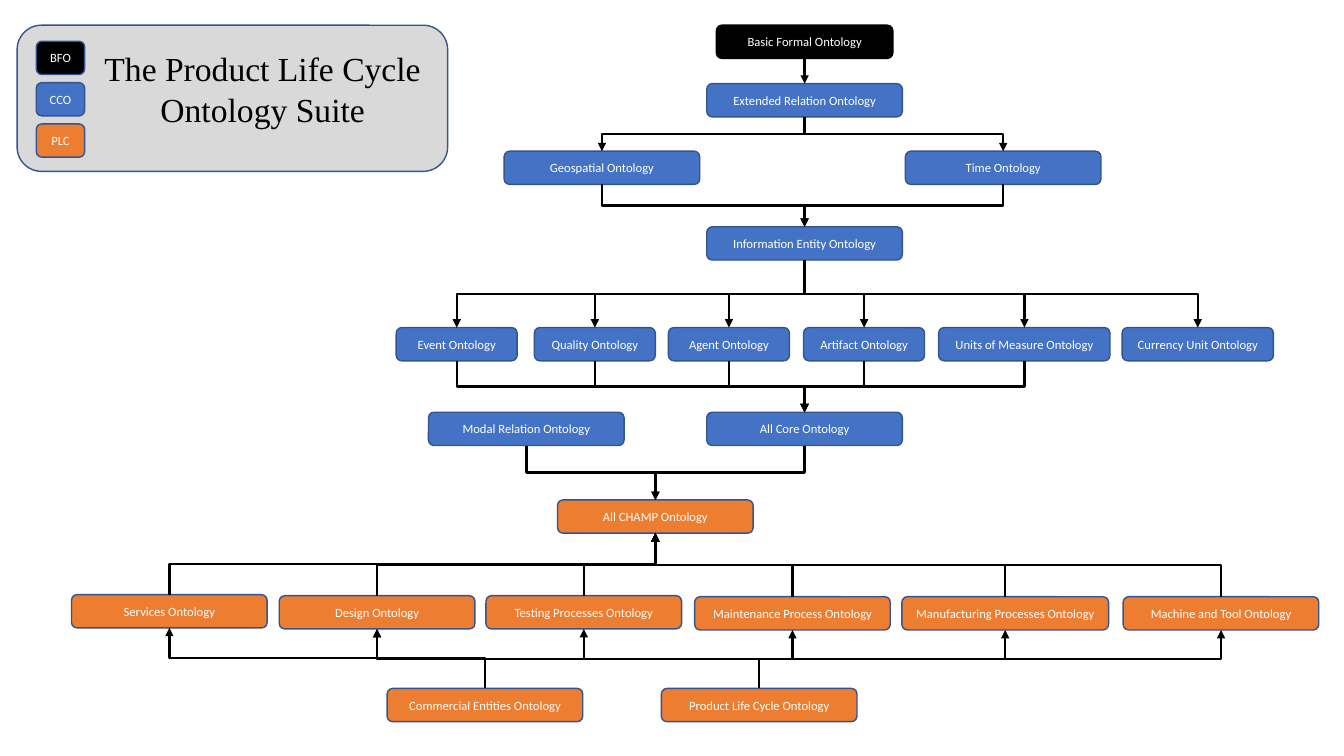
import pptx
import pptx.dml.color
import pptx.enum.shapes
import pptx.enum.text
import pptx.oxml
import pptx.oxml.ns
import pptx.util
from pptx.util import Inches

BLACK, BLUE, ORANGE = "000000", "4472C4", "ED7D31"
OUTLINE, PANEL, WHITE = "325491", "D9D9D9", "FFFFFF"
BOX_HEIGHT = 0.33
BOX_WIDTH = 1.94


def colour(value):
    return pptx.dml.color.RGBColor.from_string(value)


class OntologySlide:
    def __init__(self, slide):
        self.shapes = slide.shapes
        self.boxes = {}

    def format_text(self, frame, text, font, size, hue):
        frame.text = text
        frame.word_wrap = True
        paragraph = frame.paragraphs[0]
        paragraph.alignment = pptx.enum.text.PP_ALIGN.CENTER
        run_font = paragraph.runs[0].font
        run_font.name = font
        run_font.size = pptx.util.Pt(size)
        run_font.color.rgb = colour(hue)

    def panel(self, left, top, width, height, fill, outline=OUTLINE):
        panel = self.shapes.add_shape(
            pptx.enum.shapes.MSO_SHAPE.ROUNDED_RECTANGLE,
            Inches(left), Inches(top), Inches(width), Inches(height))
        panel.shadow.inherit = False
        panel.fill.solid()
        panel.fill.fore_color.rgb = colour(fill)
        panel.line.color.rgb = colour(outline)
        panel.line.width = pptx.util.Pt(1)
        return panel

    def box(self, label, centre, top, fill, width=BOX_WIDTH, outline=OUTLINE):
        box = self.panel(centre - width / 2, top, width, BOX_HEIGHT, fill, outline)
        box.text_frame.vertical_anchor = pptx.enum.text.MSO_ANCHOR.MIDDLE
        self.format_text(box.text_frame, label, "Calibri", 9, WHITE)
        self.boxes[label] = (centre, top)

    def title(self, text, left, top, width, height):
        title = self.shapes.add_textbox(
            Inches(left), Inches(top), Inches(width), Inches(height))
        self.format_text(title.text_frame, text, "Times New Roman", 24, BLACK)

    def arrow(self, source, target):
        x1, y1 = self.boxes[source]
        x2, y2 = self.boxes[target]
        upward, rightward = y2 < y1, x2 > x1
        if upward:
            y2 += BOX_HEIGHT
        else:
            y1 += BOX_HEIGHT
        kinds = pptx.enum.shapes.MSO_CONNECTOR
        if x1 == x2:
            arrow = self.shapes.add_connector(
                kinds.STRAIGHT, Inches(x1), Inches(y1), Inches(x2), Inches(y2))
        else:
            middle_x, middle_y = (x1 + x2) / 2, (y1 + y2) / 2
            half_run = abs(y2 - y1) / 2 * (1 if rightward else -1)
            half_rise = abs(x2 - x1) / 2 * (1 if upward else -1)
            arrow = self.shapes.add_connector(
                kinds.ELBOW,
                Inches(middle_x + half_run), Inches(middle_y + half_rise),
                Inches(middle_x - half_run), Inches(middle_y - half_rise))
            quarter_turns = 1 if rightward == upward else 3
            arrow._element.spPr.xfrm.set("rot", str(quarter_turns * 5400000))
        arrow.line.color.rgb = colour(BLACK)
        arrow.line.width = pptx.util.Pt(1.75)
        properties = arrow._element.spPr
        line = properties.find(pptx.oxml.ns.qn("a:ln"))
        head = pptx.oxml.parse_xml(
            f'<a:tailEnd {pptx.oxml.ns.nsdecls("a")} type="triangle"/>')
        line.append(head)
        properties.append(pptx.oxml.parse_xml(
            f'<a:effectLst {pptx.oxml.ns.nsdecls("a")}/>'))

    def arrows(self, sources, targets):
        for source in sources:
            for target in targets:
                self.arrow(source, target)


def main():
    deck = pptx.Presentation()
    deck.slide_width = Inches(13.33)
    deck.slide_height = Inches(7.5)
    suite = OntologySlide(deck.slides.add_slide(deck.slide_layouts[6]))

    suite.panel(0.17, 0.25, 4.27, 1.45, PANEL)
    suite.title("The Product Life Cycle Ontology Suite", 0.92, 0.43, 3.37, 0.91)
    for row, (family, fill) in enumerate(
            [("BFO", BLACK), ("CCO", BLUE), ("PLC", ORANGE)]):
        suite.box(family, 0.6, 0.41 + 0.41 * row, fill, 0.48)

    root, relations = "Basic Formal Ontology", "Extended Relation Ontology"
    information, core = "Information Entity Ontology", "All Core Ontology"
    modal, champ = "Modal Relation Ontology", "All CHAMP Ontology"
    commercial, life_cycle = "Commercial Entities Ontology", "Product Life Cycle Ontology"

    suite.box(root, 7.98, 0.25, BLACK, 1.75, BLACK)
    for label, centre, top in [
            (relations, 7.98, 0.83), (information, 7.98, 2.25),
            (core, 7.98, 4.09), (modal, 5.22, 4.09)]:
        suite.box(label, centre, top, BLUE)
    for label, centre, top in [
            (champ, 6.5, 4.96), (commercial, 4.81, 6.83), (life_cycle, 7.53, 6.83)]:
        suite.box(label, centre, top, ORANGE)

    settings = {"Geospatial Ontology": 5.97, "Time Ontology": 9.95}
    for label, centre in settings.items():
        suite.box(label, centre, 1.5, BLUE)

    domains = {
        "Event Ontology": (4.53, 1.2),
        "Quality Ontology": (5.9, 1.2),
        "Agent Ontology": (7.23, 1.2),
        "Artifact Ontology": (8.57, 1.2),
        "Units of Measure Ontology": (10.16, 1.7),
        "Currency Unit Ontology": (11.88, 1.5),
    }
    for label, (centre, width) in domains.items():
        suite.box(label, centre, 3.25, BLUE, width)

    processes = {
        "Services Ontology": (1.68, 5.9, BOX_WIDTH),
        "Design Ontology": (3.74, 5.91, BOX_WIDTH),
        "Testing Processes Ontology": (5.79, 5.91, BOX_WIDTH),
        "Maintenance Process Ontology": (7.86, 5.92, BOX_WIDTH),
        "Manufacturing Processes Ontology": (9.97, 5.92, 2.05),
        "Machine and Tool Ontology": (12.11, 5.92, BOX_WIDTH),
    }
    for label, (centre, top, width) in processes.items():
        suite.box(label, centre, top, ORANGE, width)

    process_names = list(processes)
    suite.arrows([root], [relations])
    suite.arrows([relations], settings)
    suite.arrows(settings, [information])
    suite.arrows([information], domains)
    suite.arrows(list(domains)[:-1], [core])
    suite.arrows([modal, core], [champ])
    suite.arrows(process_names, [champ])
    suite.arrows([commercial], process_names[:3])
    suite.arrows([life_cycle], process_names[1:2] + process_names[3:])

    deck.save("out.pptx")


if __name__ == "__main__":
    main()
